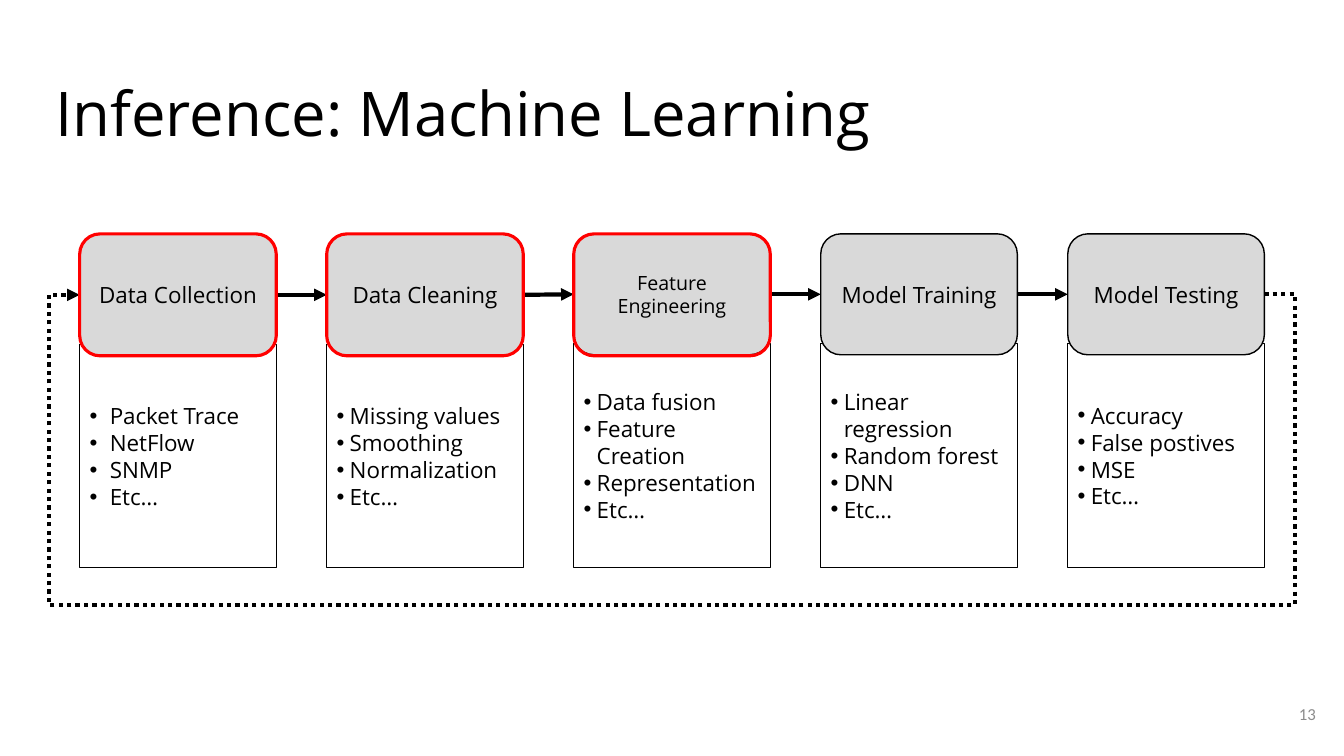
from dataclasses import dataclass
from typing import Optional

from lxml.etree import SubElement
from pptx import Presentation
from pptx.dml.color import RGBColor
from pptx.enum.dml import MSO_LINE
from pptx.enum.shapes import MSO_CONNECTOR, MSO_SHAPE
from pptx.enum.text import MSO_ANCHOR, MSO_AUTO_SIZE, PP_ALIGN
from pptx.oxml.ns import qn
from pptx.util import Inches, Pt


@dataclass(frozen=True)
class Theme:
    font: str = "Open Sans"
    number_font: str = "Calibri"
    ink: str = "000000"
    paper: str = "FFFFFF"
    heading_fill: str = "D9D9D9"
    highlight: str = "FF0000"
    muted: str = "8C8C8C"
    title_size: int = 44
    body_size: int = 16
    small_size: int = 14
    number_size: int = 12
    outline: float = 1
    highlight_outline: float = 2.25
    arrow: float = 3


@dataclass(frozen=True)
class Grid:
    left: float = 0.79
    pitch: float = 2.45
    width: float = 1.95
    top: float = 2.32
    bottom: float = 5.63
    overlap: float = 0.11
    tall: float = 1.21
    short: float = 1.2
    loop_margin: float = 0.3
    loop_drop: float = 3.01

    def column(self, index: int) -> float:
        return self.left + index * self.pitch


@dataclass(frozen=True)
class Stage:
    heading: str
    details: tuple
    height: float
    size: int
    indent: float = 0.13
    highlighted: bool = False


THEME = Theme()
GRID = Grid()
STAGES = (
    Stage("Data Collection", ("Packet Trace", "NetFlow", "SNMP", "Etc…"),
          GRID.tall, THEME.body_size, indent=0.2, highlighted=True),
    Stage("Data Cleaning", ("Missing values", "Smoothing", "Normalization", "Etc…"),
          GRID.tall, THEME.body_size, highlighted=True),
    Stage("Feature Engineering", ("Data fusion", "Feature Creation", "Representation", "Etc…"),
          GRID.short, THEME.small_size, highlighted=True),
    Stage("Model Training", ("Linear regression", "Random forest", "DNN", "Etc…"),
          GRID.short, THEME.body_size),
    Stage("Model Testing", ("Accuracy", "False postives", "MSE", "Etc…"),
          GRID.short, THEME.body_size),
)


def apply(target, formats: dict) -> None:
    for name, value in formats.items():
        setattr(target, name, value)


def write(paragraph, text: str, size: float, color: str = THEME.ink, font: str = THEME.font) -> None:
    run = paragraph.add_run()
    run.text = text
    apply(run.font, {"name": font, "size": Pt(size)})
    run.font.color.rgb = RGBColor.from_string(color)


def add_box(slide, kind, column: int, top: float, height: float,
            fill: Optional[str], line: str = THEME.ink, weight: float = THEME.outline):
    box = slide.shapes.add_shape(kind, Inches(GRID.column(column)), Inches(top),
                                 Inches(GRID.width), Inches(height))
    box.shadow.inherit = False
    if fill:
        box.fill.solid()
        box.fill.fore_color.rgb = RGBColor.from_string(fill)
    else:
        box.fill.background()
    box.line.color.rgb = RGBColor.from_string(line)
    box.line.width = Pt(weight)
    apply(box.text_frame, {"word_wrap": True, "vertical_anchor": MSO_ANCHOR.MIDDLE})
    return box


def add_bullet(paragraph, indent: float) -> None:
    properties = paragraph._p.get_or_add_pPr()
    properties.set("marL", str(Inches(indent)))
    properties.set("indent", str(-Inches(indent)))
    SubElement(properties, qn("a:buFont"), typeface="Arial")
    SubElement(properties, qn("a:buChar"), char="•")


def add_stage(slide, column: int, stage: Stage):
    details_top = GRID.top + stage.height - GRID.overlap
    details = add_box(slide, MSO_SHAPE.RECTANGLE, column, details_top,
                      GRID.bottom - details_top, THEME.paper)
    frame = details.text_frame
    for index, detail in enumerate(stage.details):
        paragraph = frame.add_paragraph() if index else frame.paragraphs[0]
        paragraph.alignment = PP_ALIGN.LEFT
        add_bullet(paragraph, stage.indent)
        write(paragraph, detail, stage.size if stage.size > THEME.small_size else THEME.body_size)

    heading = add_box(slide, MSO_SHAPE.ROUNDED_RECTANGLE, column, GRID.top,
                      stage.height, THEME.heading_fill)
    label = heading.text_frame.paragraphs[0]
    label.alignment = PP_ALIGN.CENTER
    write(label, stage.heading, stage.size)
    return heading


def add_arrow(slide, kind, source, target, dash=None):
    arrow = slide.shapes.add_connector(
        kind, source.left + source.width, source.top + source.height // 2,
        target.left, target.top + target.height // 2)
    arrow.begin_connect(source, 3)
    arrow.end_connect(target, 1)
    arrow.line.color.rgb = RGBColor.from_string(THEME.ink)
    arrow.line.width = Pt(THEME.arrow)
    if dash:
        arrow.line.dash_style = dash
    SubElement(arrow.line._get_or_add_ln(), qn("a:tailEnd"), type="triangle")
    SubElement(arrow._element.spPr, qn("a:effectLst"))
    return arrow


def add_feedback_loop(slide, source, target) -> None:
    loop = add_arrow(slide, MSO_CONNECTOR.ELBOW, source, target, MSO_LINE.ROUND_DOT)
    margin = Inches(GRID.loop_margin) / loop.width
    bends = (-margin, Inches(GRID.loop_drop) / max(loop.height, 1), 1 + margin)
    geometry = loop._element.spPr.find(qn("a:prstGeom"))
    geometry.set("prst", "bentConnector5")
    guides = geometry.find(qn("a:avLst"))
    for number, bend in enumerate(bends, start=1):
        SubElement(guides, qn("a:gd"), name=f"adj{number}", fmla=f"val {round(bend * 100000)}")


def format_frame(frame, anchor) -> None:
    inset = Inches(0.1)
    apply(frame, {"margin_left": inset, "margin_right": inset, "margin_top": inset,
                  "margin_bottom": inset, "vertical_anchor": anchor,
                  "word_wrap": True, "auto_size": MSO_AUTO_SIZE.NONE})


def main() -> None:
    deck = Presentation()
    apply(deck, {"slide_width": Inches(13.33), "slide_height": Inches(7.5)})
    slide = deck.slides.add_slide(deck.slide_layouts[5])

    # Title
    title = slide.shapes.title
    apply(title, {"left": Inches(0.45), "top": Inches(0.73),
                  "width": Inches(12.42), "height": Inches(0.84)})
    format_frame(title.text_frame, MSO_ANCHOR.TOP)
    heading = title.text_frame.paragraphs[0]
    apply(heading, {"alignment": PP_ALIGN.LEFT, "line_spacing": 0.9})
    write(heading, "Inference: Machine Learning", THEME.title_size)

    # Slide number
    number = slide.shapes.add_textbox(Inches(12.35), Inches(6.8), Inches(0.8), Inches(0.57))
    format_frame(number.text_frame, MSO_ANCHOR.MIDDLE)
    number.text_frame.paragraphs[0].alignment = PP_ALIGN.RIGHT
    write(number.text_frame.paragraphs[0], "13", THEME.number_size, THEME.muted, THEME.number_font)

    # Pipeline stages and the arrows between them
    headings = [add_stage(slide, column, stage) for column, stage in enumerate(STAGES)]
    for source, target in zip(headings, headings[1:]):
        add_arrow(slide, MSO_CONNECTOR.STRAIGHT, source, target)
    add_feedback_loop(slide, headings[-1], headings[0])

    # Red frames around the highlighted stages
    for column, stage in enumerate(STAGES):
        if stage.highlighted:
            add_box(slide, MSO_SHAPE.ROUNDED_RECTANGLE, column, GRID.top, GRID.tall,
                    None, THEME.highlight, THEME.highlight_outline)

    deck.save("out.pptx")


if __name__ == "__main__":
    main()
